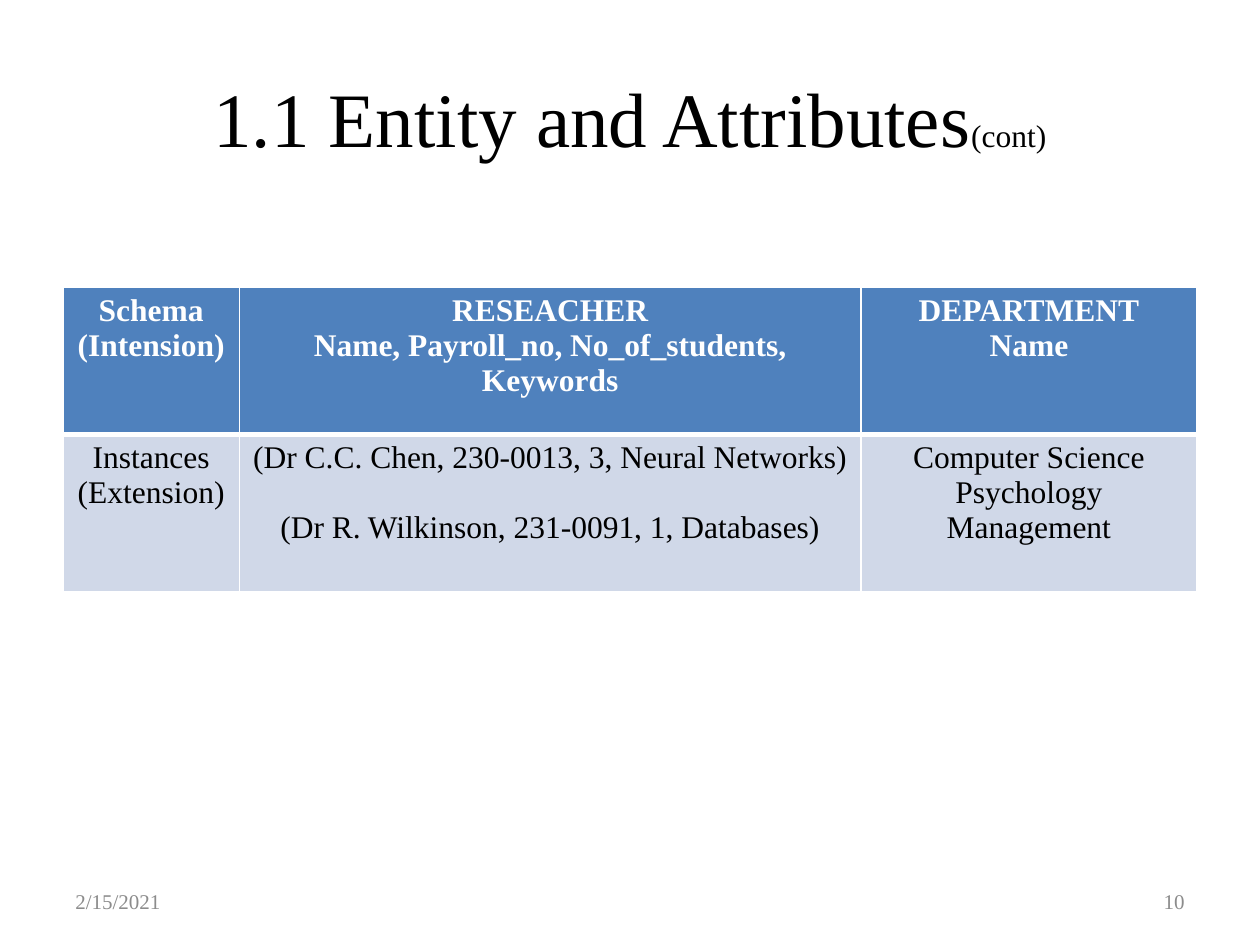
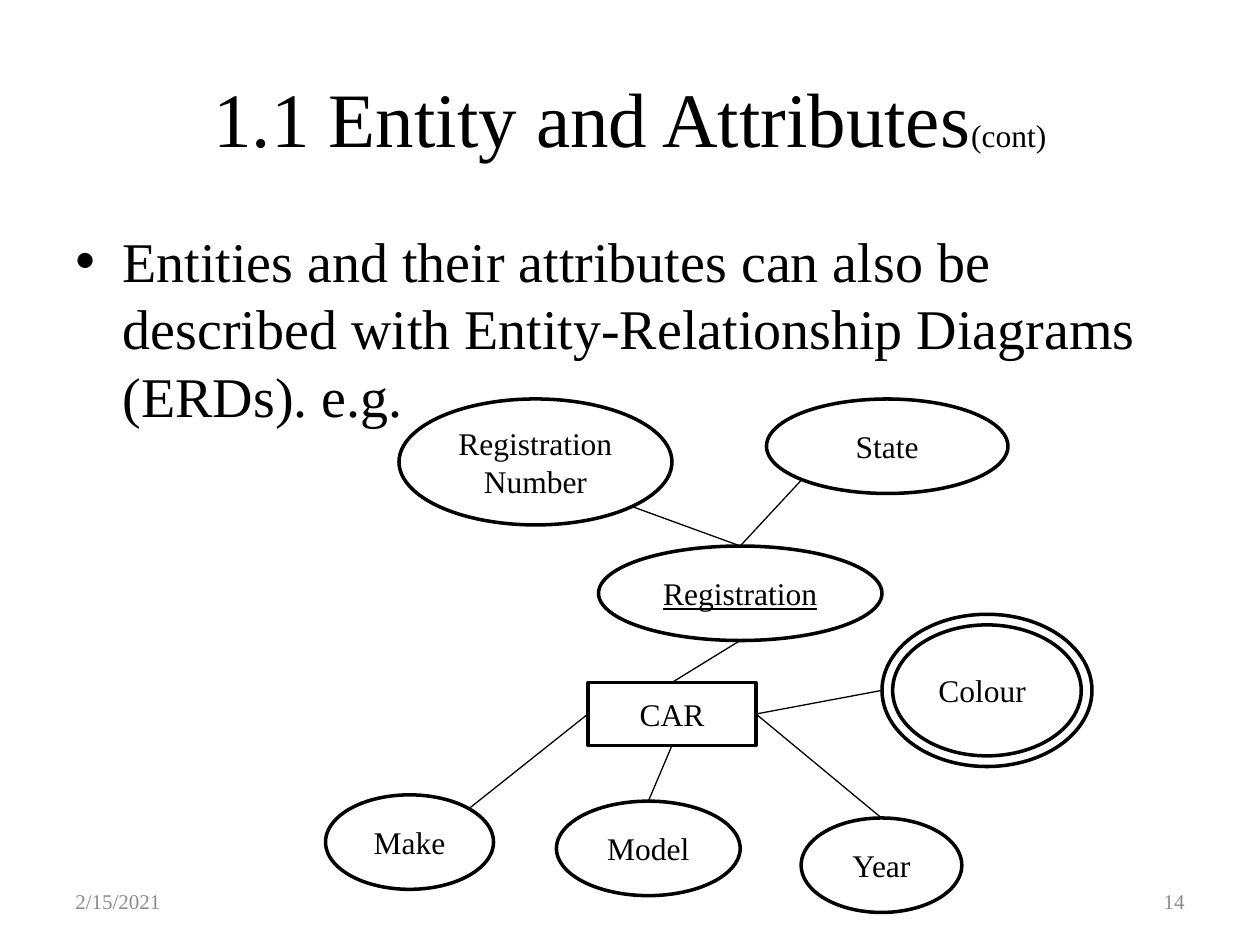
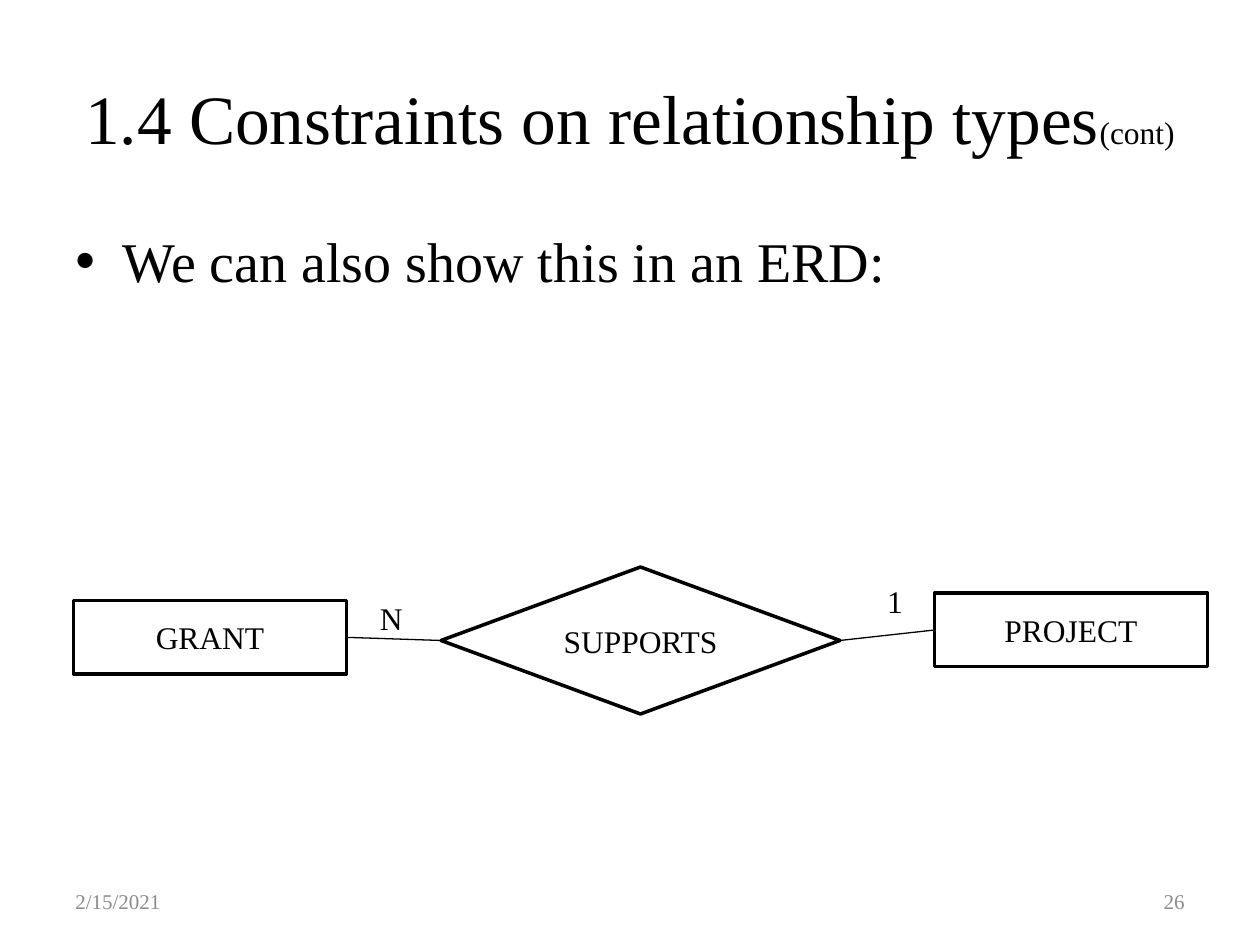
from collections import namedtuple
from dataclasses import dataclass

from lxml import etree
from pptx import Presentation, util as u
from pptx.dml.color import RGBColor
from pptx.enum import shapes, text
from pptx.oxml import ns

COLS, ROWS = 120, 90
CELL = u.Inches(10) // COLS

KIND = shapes.MSO_SHAPE
LEFT, MID, RIGHT = text.PP_ALIGN.LEFT, text.PP_ALIGN.CENTER, text.PP_ALIGN.RIGHT
TOP, CORE = text.MSO_ANCHOR.TOP, text.MSO_ANCHOR.MIDDLE

ARC = 0.146
SITES = {
    "n": (0.5, 0), "s": (0.5, 1), "w": (0, 0.5), "e": (1, 0.5),
    "ne": (1 - ARC, ARC), "sw": (ARC, 1 - ARC), "se": (1 - ARC, 1 - ARC),
}


@dataclass(frozen=True)
class Theme:
    font: str = "Times New Roman"
    ink: str = "000000"
    pale: str = "FFFFFF"
    gray: str = "8C8C8C"
    head: str = "4F81BD"
    band: str = "D0D8E8"
    title: float = 44
    tight: float = 39.6
    body: float = 32
    note: float = 18
    foot: float = 12
    edge: float = 2
    link: float = 0.75
    rule: float = 1
    heavy: float = 3


T = Theme()


class Box(namedtuple("Box", "x y w h")):
    def sub(self, x, y, w, h):
        return Box(self.x + x, self.y + y, w, h)

    def site(self, name):
        dx, dy = SITES[name]
        return self.x + self.w * dx, self.y + self.h * dy

    def emu(self):
        return [int(CELL * n) for n in self]


PAGE = Box(0, 0, COLS, ROWS)
HEAD = PAGE.sub(6, 3.6, 108, 15)
BODY = PAGE.sub(6, 21, 108, 59.4)
FOOT = PAGE.sub(6, 83.4, 108, 4.8)
GRID = PAGE.sub(6, 27.36, 108, 29)
CAR = PAGE.sub(31, 38, 73, 49)
GRANT = PAGE.sub(7, 54, 108, 14)


def style(run, size, color=T.ink, bold=False, under=False):
    font = run.font
    font.name, font.size = T.font, u.Pt(size)
    font.color.rgb = RGBColor.from_string(color)
    font.bold, font.underline = bold, under


def write(frame, words, size, align=LEFT, anchor=TOP, **look):
    frame.text = words
    frame.word_wrap = True
    frame.vertical_anchor = anchor
    for para in frame.paragraphs:
        para.alignment = align
        for run in para.runs:
            style(run, size, **look)


def label(slide, box, words, size, **look):
    frame = slide.shapes.add_textbox(*box.emu()).text_frame
    write(frame, words, size, **look)
    return frame


def node(slide, box, kind, words="", under=False):
    shape = slide.shapes.add_shape(kind, *box.emu())
    shape.shadow.inherit = False
    shape.fill.background()
    shape.line.color.rgb = RGBColor.from_string(T.ink)
    shape.line.width = u.Pt(T.edge)
    if words:
        write(shape.text_frame, words, T.note, MID, CORE, under=under)
    return shape


def link(slide, start, end):
    ends = [int(CELL * n) for n in (*start, *end)]
    line = slide.shapes.add_connector(shapes.MSO_CONNECTOR.STRAIGHT, *ends)
    line.line.color.rgb = RGBColor.from_string(T.ink)
    line.line.width = u.Pt(T.link)
    etree.SubElement(line._element.spPr, ns.qn("a:effectLst"))


def title(slide, box, words, size):
    frame = label(slide, box, words, size, align=MID, anchor=CORE)
    tail = frame.paragraphs[0].add_run()
    tail.text = "(cont)"
    style(tail, T.note)


def foot(slide, box, page):
    wide = 28
    for x, words, align in ((0, "2/15/2021", LEFT), (box.w - wide, page, RIGHT)):
        label(slide, box.sub(x, 0, wide, box.h), words, T.foot,
              align=align, anchor=CORE, color=T.gray)


def bullet(slide, box, words):
    para = label(slide, box, words, T.body).paragraphs[0]
    para.space_before = u.Pt(T.body * 0.2)
    props = para._p.get_or_add_pPr()
    dent = int(CELL * 4.5)
    props.set("marL", str(dent))
    props.set("indent", str(-dent))
    etree.SubElement(props, ns.qn("a:buFont")).set("typeface", "Arial")
    etree.SubElement(props, ns.qn("a:buChar")).set("char", "•")


def border(cell, **sides):
    props = cell._tc.get_or_add_tcPr()
    for spot, side in enumerate("LRTB"):
        width = sides.get(side, T.rule)
        line = etree.Element(ns.qn("a:ln" + side), w=str(u.Pt(width)))
        fill = etree.SubElement(line, ns.qn("a:solidFill"))
        etree.SubElement(fill, ns.qn("a:srgbClr")).set("val", T.pale)
        props.insert(spot, line)


def schema(slide, box):
    rows = [
        ["Schema (Intension)",
         "RESEACHER\nName, Payroll_no, No_of_students,\nKeywords",
         "DEPARTMENT\nName"],
        ["Instances (Extension)",
         "(Dr C.C. Chen, 230-0013, 3, Neural Networks)\n"
         "(Dr R. Wilkinson, 231-0091, 1, Databases)",
         "Computer Science\nPsychology\nManagement"],
    ]
    table = slide.shapes.add_table(2, 3, *box.emu()).table
    for col, wide in zip(table.columns, (16.8, 59.2, 32)):
        col.width = int(CELL * wide)
    for row, tall in zip(table.rows, (14, 15)):
        row.height = int(CELL * tall)
    looks = [(T.head, T.pale, True, {"B": T.heavy}),
             (T.band, T.ink, False, {"T": T.heavy})]
    for r, (fill, color, bold, sides) in enumerate(looks):
        for c, words in enumerate(rows[r]):
            cell = table.cell(r, c)
            cell.fill.solid()
            cell.fill.fore_color.rgb = RGBColor.from_string(fill)
            write(cell.text_frame, words, T.note, MID, color=color, bold=bold)
            border(cell, **sides)
    table.cell(1, 1).text_frame.paragraphs[1].space_before = u.Pt(T.note * 1.1)


def car(slide, box):
    nodes = {
        "number": (box.sub(7, 0, 26, 12), KIND.OVAL, "Registration\nNumber"),
        "plate": (box.sub(26, 14, 27, 9), KIND.OVAL, "Registration", True),
        "state": (box.sub(42, 0, 23, 9), KIND.OVAL, "State"),
        "make": (box.sub(0, 37.7, 16, 9), KIND.OVAL, "Make"),
        "model": (box.sub(22, 38.3, 17.5, 9), KIND.OVAL, "Model"),
        "year": (box.sub(45.3, 39.9, 15.3, 9), KIND.OVAL, "Year"),
        "hue": (box.sub(53, 20.5, 20, 14.5), KIND.DONUT),
        "car": (box.sub(25, 27, 16, 6), KIND.RECTANGLE, "CAR"),
    }
    made = {name: node(slide, *args) for name, args in nodes.items()}
    made["hue"].adjustments[0] = 0.07
    label(slide, box.sub(57.2, 25.3, 11.5, 4.8), "Colour", T.note)
    links = [
        ("state", "sw", "plate", "n"), ("number", "se", "plate", "n"),
        ("plate", "s", "car", "n"), ("car", "w", "make", "ne"),
        ("car", "s", "model", "n"), ("car", "e", "year", "n"),
        ("car", "e", "hue", "w"),
    ]
    for a, start, b, end in links:
        link(slide, nodes[a][0].site(start), nodes[b][0].site(end))


def grant(slide, box):
    verb = box.sub(35, 0, 38, 14)
    giver = box.sub(0, 3.2, 26, 7)
    taker = box.sub(82, 2.5, 26, 7)
    node(slide, verb, KIND.FLOWCHART_DECISION, "SUPPORTS")
    node(slide, giver, KIND.RECTANGLE, "GRANT")
    node(slide, taker, KIND.RECTANGLE, "PROJECT")
    link(slide, giver.site("e"), verb.site("w"))
    link(slide, taker.site("w"), verb.site("e"))
    for x, y, words in ((28, 2.5, "N"), (76.3, 0.8, "1")):
        label(slide, box.sub(x, y, 5, 4.8), words, T.note)


def main():
    deck = Presentation()
    deck.slide_width, deck.slide_height = CELL * COLS, CELL * ROWS
    entity = "1.1 Entity and Attributes"
    pages = [
        (entity, T.title, "10", "", schema, GRID),
        (entity, T.title, "14",
         "Entities and their attributes can also be described with "
         "Entity-Relationship Diagrams (ERDs). e.g.", car, CAR),
        ("1.4 Constraints on relationship types", T.tight, "26",
         "We can also show this in an ERD:", grant, GRANT),
    ]
    for head, size, page, point, draw, box in pages:
        slide = deck.slides.add_slide(deck.slide_layouts[6])
        title(slide, HEAD, head, size)
        if point:
            bullet(slide, BODY, point)
        foot(slide, FOOT, page)
        draw(slide, box)
    deck.save("out.pptx")


if __name__ == "__main__":
    main()
